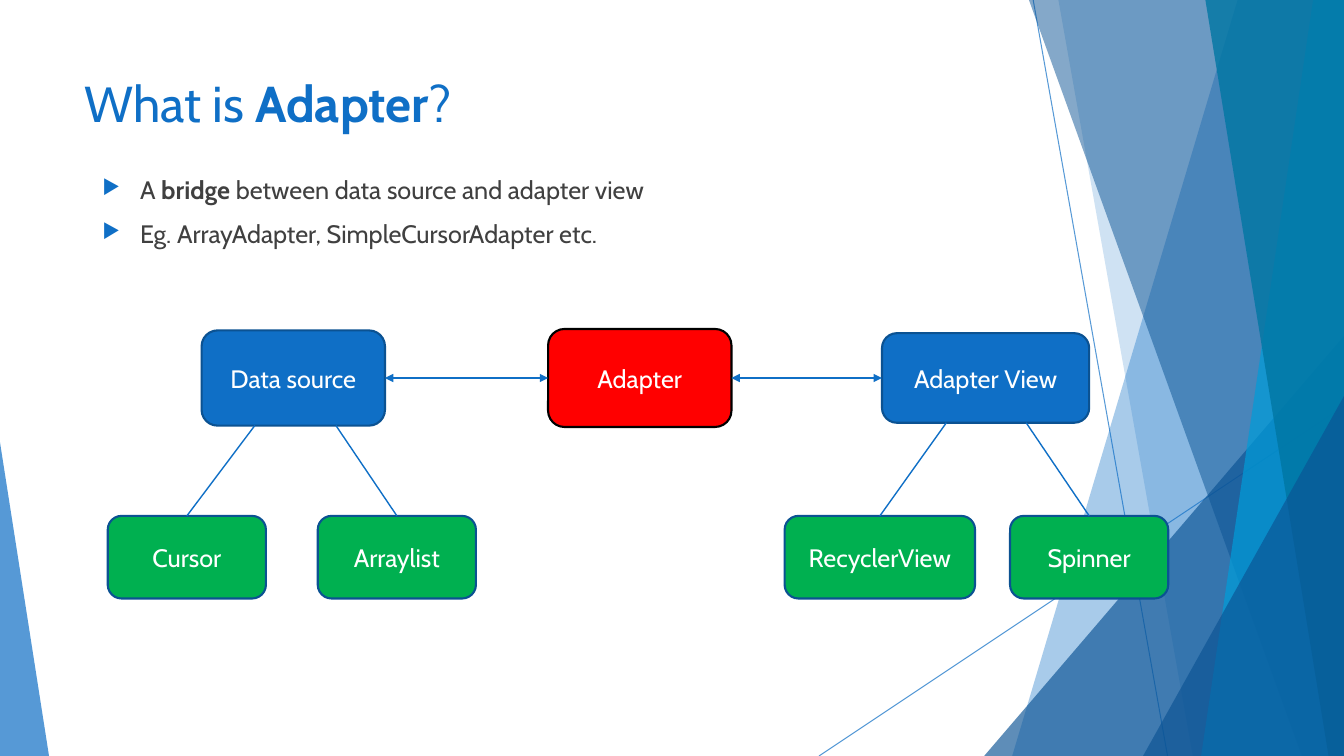
from lxml.etree import SubElement
from pptx import Presentation
from pptx.dml.color import RGBColor
from pptx.enum.shapes import MSO_CONNECTOR as CONNECTOR, MSO_SHAPE as SHAPE
from pptx.enum.text import MSO_ANCHOR as ANCHOR, PP_ALIGN as ALIGN
from pptx.oxml.ns import qn
from pptx.util import Pt

WIDTH, HEIGHT = 960, 540
FONT = "Cabin"
BLUE, NAVY, DARK_BLUE = "0F6FC6", "0B5394", "0B5292"
CYAN, TEAL, GREEN, RED = "009DD9", "0076A3", "00B050", "FF0000"
BLACK, GREY, WHITE = "000000", "404040", "FFFFFF"

presentation = Presentation()
presentation.slide_width, presentation.slide_height = Pt(WIDTH), Pt(HEIGHT)
slide = presentation.slides.add_slide(presentation.slide_layouts[6])
shapes = slide.shapes


def paint(fill, color, opacity=100):
    """Make a fill solid, with opacity in percent; serves shapes, lines and fonts."""
    fill.solid()
    fill.fore_color.rgb = RGBColor.from_string(color)
    if opacity < 100:
        color_element = fill._xPr.find(qn("a:solidFill"))[0]
        SubElement(color_element, qn("a:alpha"), val=str(opacity * 1000))


def add_line(start, end, width=1, opacity=100):
    line = shapes.add_connector(CONNECTOR.STRAIGHT, *map(Pt, start + end))
    paint(line.line.fill, BLUE, opacity)
    line.line.width = Pt(width)
    SubElement(line._element.spPr, qn("a:effectLst"))
    return line


# Background: two thin lines, then translucent facets
add_line((738, 0), (834, HEIGHT), 0.75, 70)
add_line((WIDTH, 290), (585, HEIGHT), 0.75, 70)

# A band has its left edge's top and bottom x; a triangle has its frame and apex
facets = [
    ("band", (884, 723), BLUE, 36),
    ("band", (756, 852), BLUE, 20),
    ("triangle", (703, 240, 257, 300, 1), NAVY, 66),
    ("band", (735, 930), NAVY, 50),
    ("band", (938, 858), CYAN, 70),
    ("band", (861, 949), TEAL, 80),
    ("triangle", (816.5, 283, 143.5, 257, 1), NAVY, 66),
    ("triangle", (0, 316, 35, 224, 0), BLUE, 70),
]
for kind, geometry, color, opacity in facets:
    if kind == "band":
        top_x, bottom_x = geometry
        outline = shapes.build_freeform(top_x, 0, scale=Pt(1))
        outline.add_line_segments([(WIDTH, 0), (WIDTH, HEIGHT), (bottom_x, HEIGHT)])
        facet = outline.convert_to_shape()
    else:
        *frame, apex = geometry
        facet = shapes.add_shape(SHAPE.ISOSCELES_TRIANGLE, *map(Pt, frame))
        facet.adjustments[0] = apex
    facet.shadow.inherit = False
    paint(facet.fill, color, opacity)
    facet.line.fill.background()

# Title and bullets: each paragraph is a list of (text, bold) runs
text_blocks = [
    ((53, 48, 677, 104), 36, BLUE, False,
     [[("What is ", False), ("Adapter", True), ("?", False)]]),
    ((66, 121, 828, 343), 18, GREY, True,
     [[("A", False), (" bridge ", True),
       ("between data source and adapter view", False)],
      [("Eg. ArrayAdapter, SimpleCursorAdapter etc.", False)]]),
]
for frame, size, color, bulleted, paragraphs in text_blocks:
    text_frame = shapes.add_textbox(*map(Pt, frame)).text_frame
    text_frame.word_wrap = True
    for index, runs in enumerate(paragraphs):
        paragraph = text_frame.add_paragraph() if index else text_frame.paragraphs[0]
        paragraph.font.name, paragraph.font.size = FONT, Pt(size)
        paint(paragraph.font.fill, color)
        for text, bold in runs:
            run = paragraph.add_run()
            run.text, run.font.bold = text, bold
        if bulleted:
            paragraph.space_before = Pt(10)
            properties = paragraph._p.get_or_add_pPr()
            properties.set("marL", str(Pt(27)))
            properties.set("indent", str(-Pt(27)))
            bullet_color = SubElement(properties, qn("a:buClr"))
            SubElement(bullet_color, qn("a:srgbClr"), val=BLUE)
            SubElement(properties, qn("a:buSzPct"), val="80000")
            SubElement(properties, qn("a:buChar"), char="▶")
            # The schema wants the default run properties after the bullet
            properties.append(properties.find(qn("a:defRPr")))

# Boxes: each row shares a middle line
TOP_ROW, BOTTOM_ROW = 270, 398
box_rows = [
    ("Adapter", 391.5, TOP_ROW, 131, 70, RED, BLACK),
    ("Data source", 144, TOP_ROW, 131, 68, BLUE, DARK_BLUE),
    ("Adapter View", 630, TOP_ROW, 148, 64, BLUE, DARK_BLUE),
    ("Cursor", 77, BOTTOM_ROW, 113, 59, GREEN, DARK_BLUE),
    ("Arraylist", 227, BOTTOM_ROW, 113, 59, GREEN, DARK_BLUE),
    ("RecyclerView", 560.5, BOTTOM_ROW, 136, 59, GREEN, DARK_BLUE),
    ("Spinner", 721.5, BOTTOM_ROW, 113, 59, GREEN, DARK_BLUE),
]
boxes = {}
for name, left, middle, width, height, color, border in box_rows:
    frame = (left, middle - height / 2, width, height)
    box = shapes.add_shape(SHAPE.ROUNDED_RECTANGLE, *map(Pt, frame))
    box.shadow.inherit = False
    paint(box.fill, color)
    paint(box.line.fill, border)
    box.line.width = Pt(1.5)
    box.text_frame.text = name
    box.text_frame.vertical_anchor = ANCHOR.MIDDLE
    paragraph = box.text_frame.paragraphs[0]
    paragraph.alignment = ALIGN.CENTER
    paragraph.font.name, paragraph.font.size = FONT, Pt(18)
    paint(paragraph.font.fill, WHITE)
    boxes[name] = box

# Two-way arrows along the top row
for source, target in [("Data source", "Adapter"), ("Adapter", "Adapter View")]:
    arrow = add_line((0, TOP_ROW), (0, TOP_ROW))
    arrow.begin_connect(boxes[source], 3)
    arrow.end_connect(boxes[target], 1)
    outline = arrow._element.spPr.find(qn("a:ln"))
    for end in ("a:headEnd", "a:tailEnd"):
        SubElement(outline, qn(end), type="triangle")

# Branches from a parent's lower edge to the top of each child
branches = [
    ("Data source", 182, "Cursor"),
    ("Data source", 240, "Arraylist"),
    ("Adapter View", 676, "RecyclerView"),
    ("Adapter View", 733, "Spinner"),
]
for parent, start_x, child in branches:
    start = (start_x, (boxes[parent].top + boxes[parent].height) / Pt(1))
    branch = add_line(start, start)
    branch.end_connect(boxes[child], 0)

presentation.save("out.pptx")
